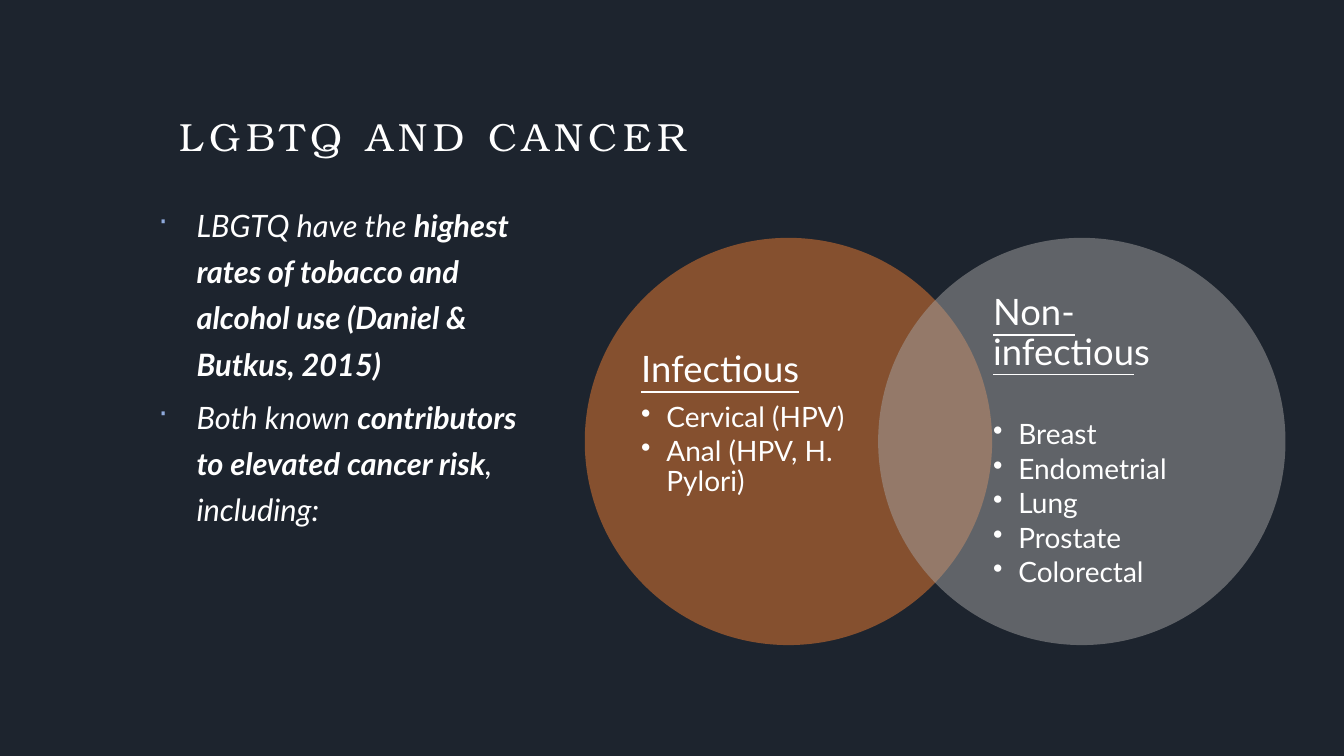
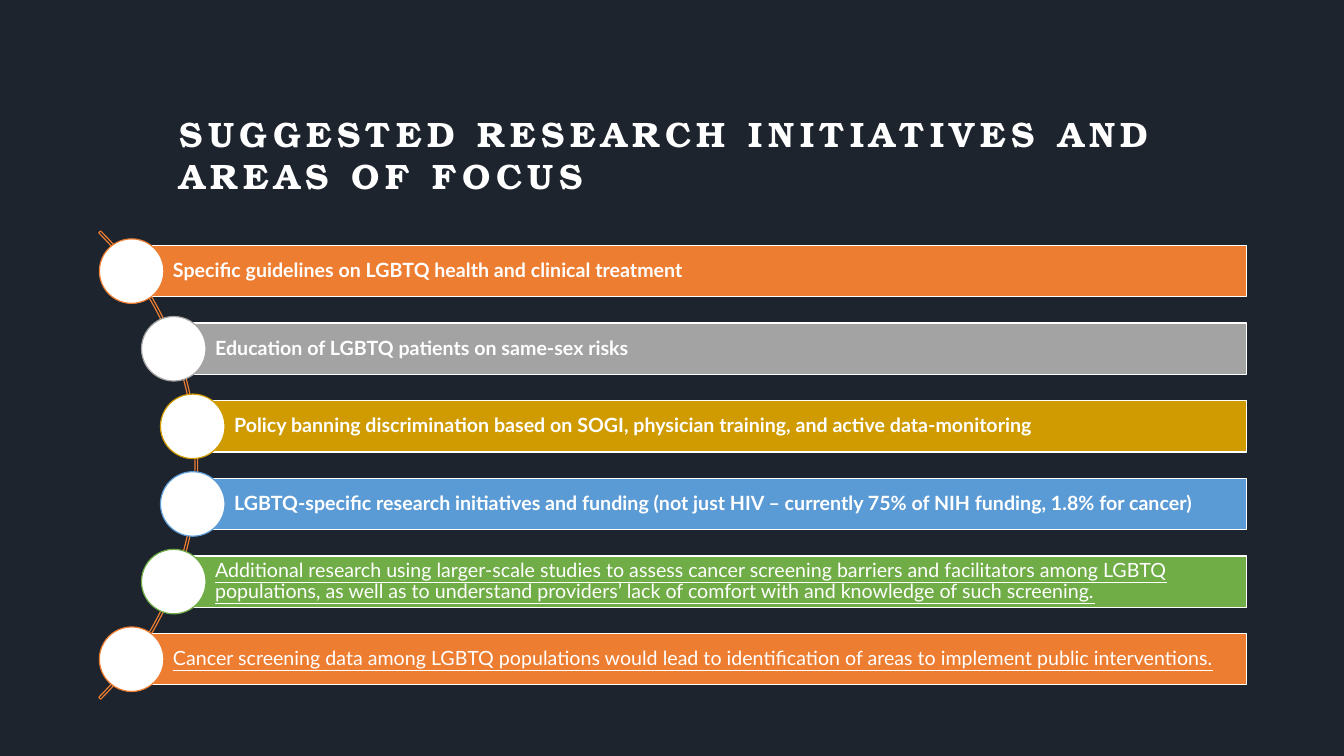
import math
from dataclasses import dataclass

from lxml import etree
from pptx import Presentation
from pptx.dml.color import RGBColor
from pptx.enum import shapes, text
from pptx.oxml import ns
from pptx.util import Inches, Pt


@dataclass(frozen=True)
class Theme:
    background: str = "1D242E"
    white: str = "FFFFFF"
    bullet: str = "8FAADC"
    orange: str = "ED7D31"
    gray: str = "A3A3A3"
    gold: str = "CF9B00"
    blue: str = "5B9BD5"
    green: str = "70AD47"
    title_font: str = "TeX Gyre Bonum"
    body_font: str = "Lato"
    title: float = 28
    long_title: float = 25.2
    circle_heading: float = 26
    body: float = 22
    circle_item: float = 20
    bar: float = 14
    line: float = 0.85


T = Theme()
TITLE_BOX = (1.78, 1.11, 10.36, 0.72)
BODY_BOX = (1.18, 1.96, 4.27, 4.35)
VENN_BOX = (5.8, 2.36, 6.95, 4.04)
INITIATIVES_BOX = (-4.61, 1.33, 16.97, 6.57)


def rgb(color):
    return RGBColor.from_string(color)


def add_slide(prs):
    slide = prs.slides.add_slide(prs.slide_layouts[6])
    slide.background.fill.solid()
    slide.background.fill.fore_color.rgb = rgb(T.background)
    return slide


def set_frame(sp, insets=(0, 0, 0, 0), anchor=text.MSO_ANCHOR.TOP):
    tf = sp.text_frame
    tf.word_wrap = True
    tf.vertical_anchor = anchor
    tf.margin_left, tf.margin_top, tf.margin_right, tf.margin_bottom = map(Inches, insets)
    return tf


def add_text_box(slide, box, **frame):
    return set_frame(slide.shapes.add_textbox(*map(Inches, box)), **frame)


def add_paragraph(tf, runs, size, font=T.body_font, bold=None, italic=None,
                  underline=None, spacing=None, before=None, after=None):
    """Fill the empty first paragraph, or append one; runs are (text, font overrides)."""
    first = len(tf.paragraphs) == 1 and not tf.paragraphs[0].runs
    p = tf.paragraphs[0] if first else tf.add_paragraph()
    p.alignment = text.PP_ALIGN.LEFT
    p.line_spacing = spacing
    p.space_before = None if first or before is None else Pt(before)
    p.space_after = None if after is None else Pt(after)
    p.font.name, p.font.size = font, Pt(size)
    p.font.color.rgb = rgb(T.white)
    p.font.bold, p.font.italic, p.font.underline = bold, italic, underline
    for words, overrides in runs:
        r = p.add_run()
        r.text = words
        for name, value in overrides.items():
            setattr(r.font, name, value)
    return p


def add_bullet(p, char, margin, hanging, color=None):
    pPr = p._p.get_or_add_pPr()
    pPr.set("marL", str(Inches(margin)))
    pPr.set("indent", str(-Inches(hanging)))
    default = pPr.find(ns.qn("a:defRPr"))
    if color:
        buClr = etree.Element(ns.qn("a:buClr"))
        etree.SubElement(buClr, ns.qn("a:srgbClr"), val=color)
        default.addprevious(buClr)
    default.addprevious(etree.Element(ns.qn("a:buChar"), char=char))


def add_shape(slide, kind, box, fill=None, line=None, opacity=None):
    sp = slide.shapes.add_shape(kind, *map(Inches, box))
    sp.shadow.inherit = False
    if fill:
        sp.fill.solid()
        sp.fill.fore_color.rgb = rgb(fill)
    else:
        sp.fill.background()
    if opacity is not None:
        color = sp._element.spPr.find(".//" + ns.qn("a:srgbClr"))
        etree.SubElement(color, ns.qn("a:alpha"), val=str(opacity * 1000))
    if line:
        sp.line.color.rgb = rgb(line)
        sp.line.width = Pt(T.line)
    else:
        sp.line.fill.background()
    return sp


def add_title(slide, words, size, bold=False):
    p = add_paragraph(add_text_box(slide, TITLE_BOX), [(words, {})], size,
                      font=T.title_font, bold=bold)
    p.runs[0]._r.get_or_add_rPr().set("spc", "400")


def add_body(slide, box, points):
    tf = add_text_box(slide, box)
    for runs in points:
        p = add_paragraph(tf, runs, T.body, italic=True, spacing=1.25, before=5)
        add_bullet(p, "·", 0.77, 0.38, T.bullet)


def add_venn(slide, box, sets):
    """Two overlapping circles; each set has colour, text offset, heading, gap, items, lift."""
    left, top, width, size = box
    for i, (color, offset, heading, gap, items, lift) in enumerate(sets):
        x = left + i * (width - size)
        add_shape(slide, shapes.MSO_SHAPE.OVAL, (x, top, size, size), color, opacity=50)
        tf = add_text_box(slide, (x + offset, top + 0.48, 2.33, 3.08),
                          insets=(0, 0, 0, lift), anchor=text.MSO_ANCHOR.MIDDLE)
        add_paragraph(tf, heading, T.circle_heading, spacing=0.9, after=gap)
        for item in items:
            p = add_paragraph(tf, [(item, {})], T.circle_item, spacing=0.9, after=3)
            add_bullet(p, "•", 0.25, 0.25)


def add_initiatives(slide, box, rows):
    """Bars that start at nodes spaced evenly down a circular arc."""
    left, top, width, diameter = box
    pitch, bar_height, node, radius = 0.77, 0.51, 0.64, 3.26
    center_x, center_y = left + diameter / 2, top + diameter / 2
    arc = add_shape(slide, shapes.MSO_SHAPE.BLOCK_ARC, (left, top, diameter, diameter),
                    line=T.orange)
    for i, value in enumerate((189, 27, 0.004)):
        arc.adjustments[i] = value
    for i, (color, words, style) in enumerate(rows):
        dy = (i - (len(rows) - 1) / 2) * pitch
        x, y = center_x + math.sqrt(radius ** 2 - dy ** 2), center_y + dy
        bar = add_shape(slide, shapes.MSO_SHAPE.RECTANGLE,
                        (x, y - bar_height / 2, left + width - x, bar_height),
                        color, T.white)
        tf = set_frame(bar, (0.41, 0.04, 0.04, 0.04), text.MSO_ANCHOR.MIDDLE)
        add_paragraph(tf, [(words, {})], T.bar, spacing=0.9, **style)
        add_shape(slide, shapes.MSO_SHAPE.OVAL, (x - node / 2, y - node / 2, node, node),
                  T.white, color)


def cancer_slide(prs):
    slide = add_slide(prs)
    bold, underline = {"bold": True}, {"underline": True}
    add_title(slide, "LGBTQ AND CANCER", T.title)
    add_body(slide, BODY_BOX, [
        [("LBGTQ have the ", {}),
         ("highest rates of tobacco and alcohol use (Daniel & Butkus, 2015)", bold)],
        [("Both known ", {}), ("contributors to elevated cancer risk", bold),
         (", including:", {})],
    ])
    add_venn(slide, VENN_BOX, [
        (T.orange, 0.56, [("Infectious", underline)], 9,
         ["Cervical (HPV)", "Anal (HPV, H. Pylori)"], 0.34),
        (T.gray, 1.14, [("Non-infectiou", underline), ("s", {})], 34,
         ["Breast", "Endometrial", "Lung", "Prostate", "Colorectal"], 0),
    ])


def research_slide(prs):
    slide = add_slide(prs)
    bold, underline = {"bold": True}, {"underline": True}
    add_title(slide, "SUGGESTED RESEARCH INITIATIVES AND AREAS OF FOCUS",
              T.long_title, bold=True)
    add_initiatives(slide, INITIATIVES_BOX, [
        (T.orange, "Specific guidelines on LGBTQ health and clinical treatment", bold),
        (T.gray, "Education of LGBTQ patients on same-sex risks", bold),
        (T.gold, "Policy banning discrimination based on SOGI, physician training, "
                 "and active data-monitoring", bold),
        (T.blue, "LGBTQ-specific research initiatives and funding (not just HIV – "
                 "currently 75% of NIH funding, 1.8% for cancer)", bold),
        (T.green, "Additional research using larger-scale studies to assess cancer "
                  "screening barriers and facilitators among LGBTQ populations, as well as "
                  "to understand providers’ lack of comfort with and knowledge of such "
                  "screening.", underline),
        (T.orange, "Cancer screening data among LGBTQ populations would lead to "
                   "identification of areas to implement public interventions.", underline),
    ])


def main():
    prs = Presentation()
    prs.slide_width, prs.slide_height = Inches(13.33), Inches(7.5)
    cancer_slide(prs)
    research_slide(prs)
    prs.save("out.pptx")


if __name__ == "__main__":
    main()
